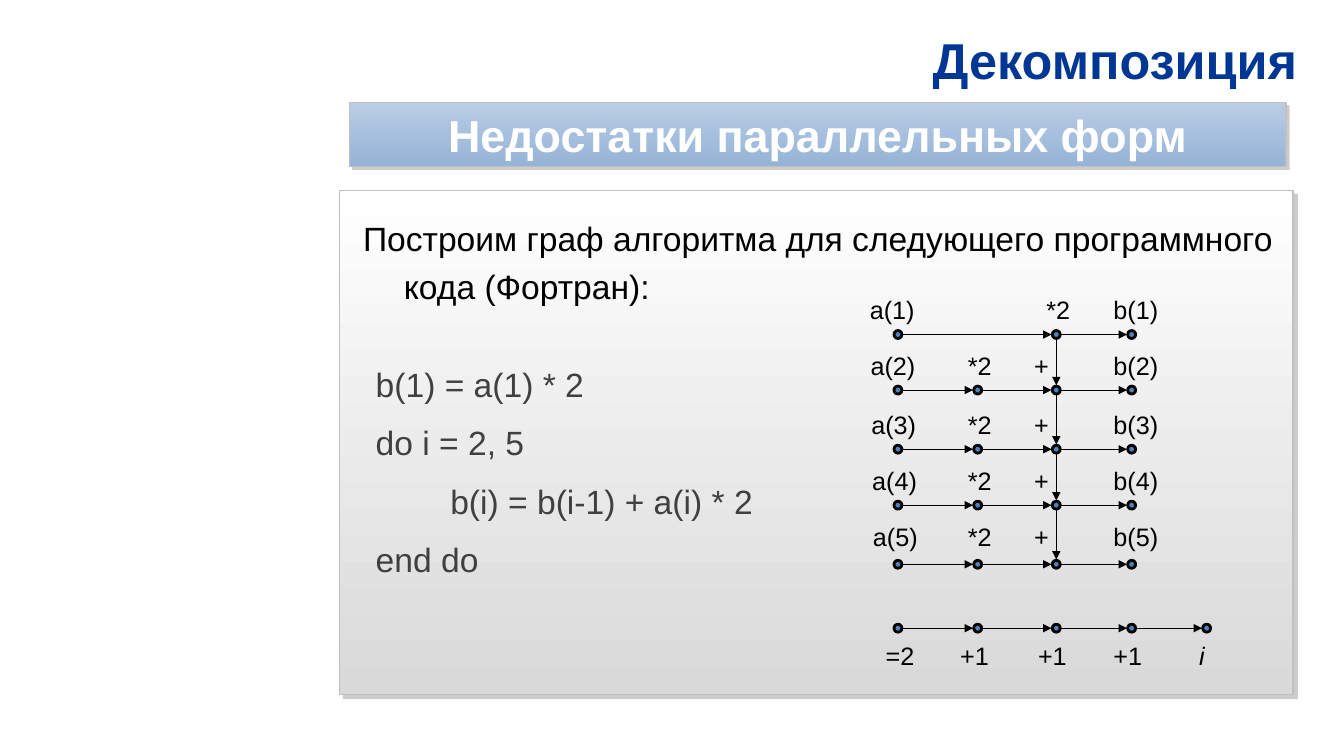
from lxml import etree
from pptx import Presentation
from pptx.dml.color import RGBColor
from pptx.enum.shapes import MSO_CONNECTOR, MSO_SHAPE
from pptx.enum.text import MSO_ANCHOR, PP_ALIGN
from pptx.oxml.ns import qn
from pptx.util import Cm, Pt

RECT, OVAL = MSO_SHAPE.RECTANGLE, MSO_SHAPE.OVAL
STRAIGHT = MSO_CONNECTOR.STRAIGHT
MIDDLE, TOP = MSO_ANCHOR.MIDDLE, MSO_ANCHOR.TOP
LEFT, CENTER, RIGHT = PP_ALIGN.LEFT, PP_ALIGN.CENTER, PP_ALIGN.RIGHT

COLORS = {
    "title": "003794", "black": "000000", "white": "FFFFFF", "code": "404040",
    "node": "4F81BD", "border": "C0C0C0", "shadow": "808080",
    "panel_end": "D9D9D9", "banner_start": "B9CDE5", "banner_end": "95B3D7",
}
COLS = [1.03, 3.04, 5.02, 6.92, 8.81]
ROWS = [1.23, 2.63, 4.12, 5.53, 7.02]
LABEL_TOPS = [0.09, 1.51, 3.0, 4.4, 5.8]
AXIS_Y = 8.63
AXIS_LABELS = [("=2", 0.56), ("+1", 0.69), ("+1", 0.71), ("+1", 0.71), ("i", 0.44)]
DOT, GAP = 0.2, 0.12


def rgb(name):
    """Return the named colour."""
    return RGBColor.from_string(COLORS[name])


def write(tf, text, size=18, color="black", bold=False, italic=False, align=LEFT,
          anchor=TOP, spacing=None, after=0, margin=0, indent=0):
    """Add one formatted paragraph to a text frame."""
    tf.word_wrap = True
    tf.vertical_anchor = anchor
    p = tf.add_paragraph() if tf.text else tf.paragraphs[0]
    p.alignment, p.space_after = align, Pt(after)
    if spacing:
        p.line_spacing = spacing
    if margin:
        pPr = p._p.get_or_add_pPr()
        pPr.set("marL", str(Cm(margin)))
        pPr.set("indent", str(Cm(indent)))
    r = p.add_run()
    r.text = text
    r.font.name, r.font.size = "Arial", Pt(size)
    r.font.bold, r.font.italic = bold, italic
    r.font.color.rgb = rgb(color)


def add_text(s, x, y, w, h):
    """Add a text box and return its text frame."""
    return s.shapes.add_textbox(Cm(x), Cm(y), Cm(w), Cm(h)).text_frame


def add_card(s, x, y, w, h, start, end, distance):
    """Add a gradient rectangle with a hard offset shadow."""
    sp = s.shapes.add_shape(RECT, Cm(x), Cm(y), Cm(w), Cm(h))
    sp.fill.gradient()
    sp.fill.gradient_angle = 270
    for stop, position, color in zip(sp.fill.gradient_stops, (0, 1), (start, end)):
        stop.position = position
        stop.color.rgb = rgb(color)
    sp.line.color.rgb, sp.line.width = rgb("border"), Pt(1)
    sp.shadow.inherit = False
    effects = sp._element.spPr.find(qn("a:effectLst"))
    shadow = etree.SubElement(effects, qn("a:outerShdw"), blurRad="0",
                              dist=str(Pt(distance)), dir="2700000",
                              algn="tl", rotWithShape="0")
    clr = etree.SubElement(shadow, qn("a:srgbClr"), val=COLORS["shadow"])
    etree.SubElement(clr, qn("a:alpha"), val="40000")
    return sp


def add_node(s, x, y):
    """Add a graph node centred on a point."""
    sp = s.shapes.add_shape(OVAL, Cm(x - DOT / 2), Cm(y - DOT / 2), Cm(DOT), Cm(DOT))
    sp.fill.solid()
    sp.fill.fore_color.rgb = rgb("node")
    sp.line.color.rgb, sp.line.width = rgb("black"), Pt(2)
    sp.shadow.inherit = False


def add_arrow(s, x1, y1, x2, y2):
    """Add a thin arrow between two points."""
    c = s.shapes.add_connector(STRAIGHT, Cm(x1), Cm(y1), Cm(x2), Cm(y2))
    c.line.color.rgb, c.line.width = rgb("black"), Pt(0.75)
    etree.SubElement(c.line._get_or_add_ln(), qn("a:tailEnd"), type="triangle")
    etree.SubElement(c._element.spPr, qn("a:effectLst"))


def add_chain(s, xs, y):
    """Add a row of nodes joined by arrows."""
    for x in xs:
        add_node(s, x, y)
    for x1, x2 in zip(xs, xs[1:]):
        add_arrow(s, x1 + GAP, y, x2 - GAP, y)


def add_label(s, text, x, y, italic=False):
    """Add a graph label."""
    write(add_text(s, x, y, 1.8, 1), text, italic=italic)


def add_title(s, x, y, w, h):
    """Add the slide title."""
    write(add_text(s, x, y, w, h), "Декомпозиция", size=36, color="title",
          bold=True, align=RIGHT, anchor=MIDDLE)


def add_banner(s, x, y, w, h):
    """Add the subtitle banner."""
    tf = add_card(s, x, y, w, h, "banner_start", "banner_end", 3).text_frame
    tf.margin_left = tf.margin_right = Cm(0.6)
    tf.margin_top = tf.margin_bottom = Cm(0.1)
    write(tf, "Недостатки параллельных форм", size=32, color="white",
          bold=True, align=CENTER, anchor=MIDDLE)


def add_panel(s, x, y, w, h):
    """Add the panel with the task, the code and the graph."""
    add_card(s, x, y, w, h, "white", "panel_end", 4)
    write(add_text(s, x + 0.1, y + 0.36, w + 0.2, 2.7),
          "Построим граф алгоритма для следующего программного кода (Фортран):",
          size=24, spacing=1.2, margin=1.27, indent=-1.03)
    tf = add_text(s, x + 0.66, y + 4.24, 10.2, 5.9)
    for line, margin in (("b(1) = a(1) * 2", 0), ("do i = 2, 5", 0),
                         ("b(i) = b(i-1) + a(i) * 2", 1.88), ("end do", 0)):
        write(tf, line, size=24, color="code", after=13, margin=margin)
    add_graph(s, x + 13.04, y + 2.4)


def add_graph(s, x, y):
    """Add the dependency graph and its index axis."""
    cols = [x + col for col in COLS]
    rows = [y + row for row in ROWS]
    a, product, total, b = cols[:4]
    for i, (row, top) in enumerate(zip(rows, LABEL_TOPS)):
        add_chain(s, cols[:4] if i else [a, total, b], row)
        add_label(s, f"a({i + 1})", a - 0.96 + 0.02 * i, y + top)
        add_label(s, "*2", (product if i else total) - 0.5, y + top)
        add_label(s, f"b({i + 1})", b - 0.71, y + top)
        if i:
            add_label(s, "+", total - 0.81, y + top)
            add_arrow(s, total, rows[i - 1] + GAP, total, row - GAP)
    add_chain(s, cols, y + AXIS_Y)
    for col, (text, shift) in zip(cols, AXIS_LABELS):
        add_label(s, text, col - shift, y + AXIS_Y + 0.17, italic=text == "i")


def main():
    """Build and save the slide."""
    prs = Presentation()
    prs.slide_width, prs.slide_height = Cm(33.87), Cm(19.05)
    s = prs.slides.add_slide(prs.slide_layouts[6])
    add_title(s, 8.15, 0.58, 24.79, 1.83)
    add_banner(s, 8.81, 2.59, 23.6, 1.6)
    add_panel(s, 8.56, 4.8, 24.03, 12.7)
    prs.save("out.pptx")


if __name__ == "__main__":
    main()
